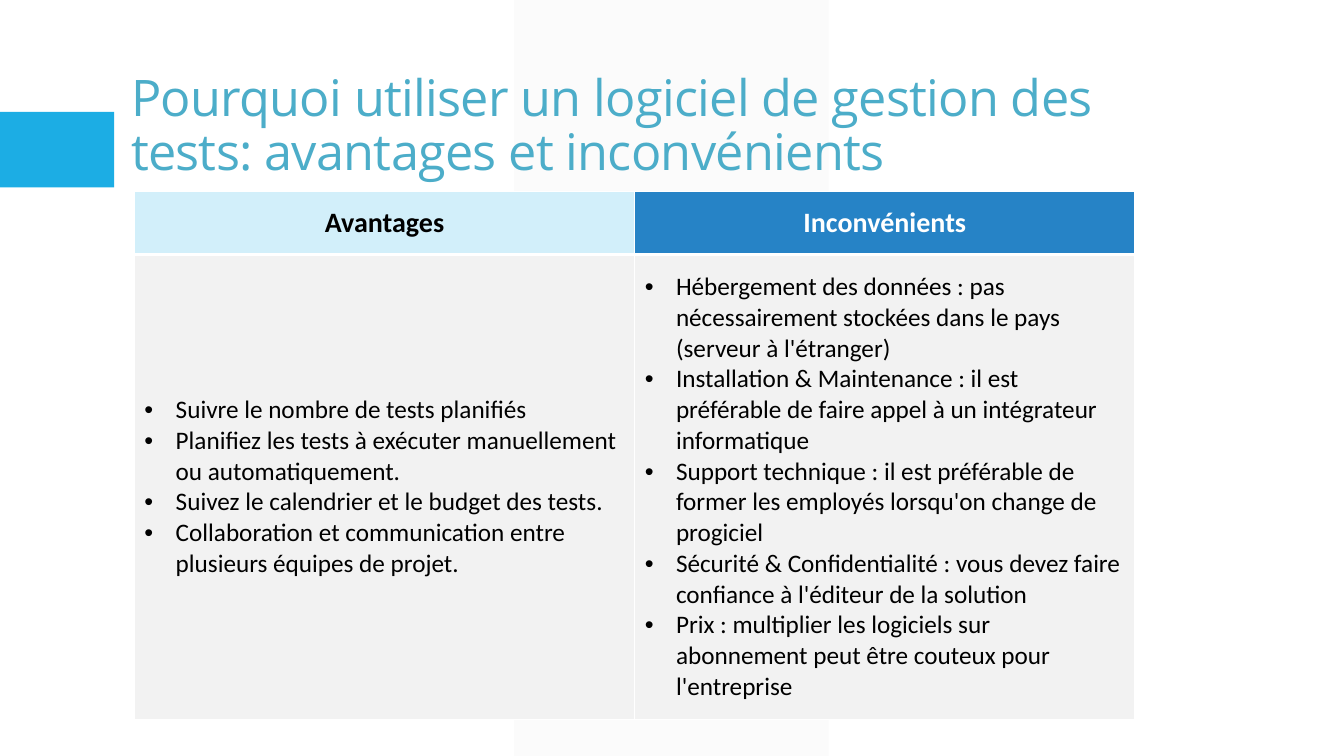
from dataclasses import dataclass

from lxml.etree import SubElement
from pptx import Presentation
from pptx.dml.color import RGBColor
from pptx.enum.shapes import MSO_SHAPE
from pptx.enum.text import MSO_ANCHOR, MSO_AUTO_SIZE, PP_ALIGN
from pptx.oxml.ns import qn
from pptx.util import Inches, Pt


@dataclass(frozen=True)
class Theme:
    title_font: str = "Open Sans"
    body_font: str = "Calibri"
    title_size: int = 36
    header_size: int = 20
    body_size: int = 18
    title_color: str = "4CADC9"
    accent: str = "1CADE4"
    pale: str = "F2F2F2"
    light_header: str = "D2EFFA"
    dark_header: str = "2683C6"
    white: str = "FFFFFF"
    black: str = "000000"


class SlideBuilder:
    """Places elements on one slide; lengths are percentages of its size."""

    def __init__(self, presentation, theme):
        self.presentation = presentation
        self.theme = theme
        self.slide = presentation.slides.add_slide(presentation.slide_layouts[5])

    def across(self, percent):
        return round(self.presentation.slide_width * percent / 100)

    def down(self, percent):
        return round(self.presentation.slide_height * percent / 100)

    def box(self, left, top, width, height):
        return self.across(left), self.down(top), self.across(width), self.down(height)

    def style_runs(self, paragraph, font_name, size, color, bold=False):
        for run in paragraph.runs:
            run.font.name = font_name
            run.font.size = Pt(size)
            run.font.bold = bold
            run.font.color.rgb = RGBColor.from_string(color)

    def block(self, preset, area, color, opacity=100):
        shape = self.slide.shapes.add_shape(preset, *self.box(*area))
        shape.shadow.inherit = False
        shape.line.fill.background()
        shape.fill.solid()
        shape.fill.fore_color.rgb = RGBColor.from_string(color)
        if opacity < 100:
            color_element = shape.element.spPr.find(".//" + qn("a:srgbClr"))
            SubElement(color_element, qn("a:alpha"), val=str(opacity * 1000))
        return shape

    def title(self, text, area):
        shape = self.slide.shapes.title
        shape.left, shape.top, shape.width, shape.height = self.box(*area)
        frame = shape.text_frame
        frame.text = text
        frame.word_wrap = True
        frame.auto_size = MSO_AUTO_SIZE.NONE
        frame.vertical_anchor = MSO_ANCHOR.BOTTOM
        paragraph = frame.paragraphs[0]
        paragraph.alignment = PP_ALIGN.LEFT
        paragraph.line_spacing = 0.9
        self.style_runs(paragraph, self.theme.title_font,
                        self.theme.title_size, self.theme.title_color)
        for run in paragraph.runs:
            run.font._element.set("spc", "-50")
        # Bring the title in front of the decoration
        shape.element.getparent().append(shape.element)

    def cell_style(self, cell, fill, top, bottom):
        properties = cell._tc.get_or_add_tcPr()
        for side, width in zip("LRTB", (1, 1, top, bottom)):
            line = SubElement(properties, qn(f"a:ln{side}"), w=str(Pt(width)))
            solid = SubElement(line, qn("a:solidFill"))
            SubElement(solid, qn("a:srgbClr"), val=self.theme.white)
        cell.fill.solid()
        cell.fill.fore_color.rgb = RGBColor.from_string(fill)
        cell.vertical_anchor = MSO_ANCHOR.MIDDLE

    def header_cell(self, cell, text, fill, color):
        self.cell_style(cell, fill, top=1, bottom=3)
        cell.margin_left = cell.margin_right = Inches(0.12)
        cell.margin_top = cell.margin_bottom = Inches(0.06)
        cell.text_frame.text = text
        paragraph = cell.text_frame.paragraphs[0]
        paragraph.alignment = PP_ALIGN.CENTER
        self.style_runs(paragraph, self.theme.body_font,
                        self.theme.header_size, color, bold=True)

    def list_cell(self, cell, items):
        self.cell_style(cell, self.theme.pale, top=3, bottom=1)
        cell.text_frame.text = "\n".join(items)
        for paragraph in cell.text_frame.paragraphs:
            self.style_runs(paragraph, self.theme.body_font,
                            self.theme.body_size, self.theme.black)
            properties = paragraph._p.get_or_add_pPr()
            properties.set("marL", str(Inches(0.31)))
            properties.set("indent", str(-Inches(0.31)))
            SubElement(properties, qn("a:buFont"), typeface="Arial")
            SubElement(properties, qn("a:buChar"), char="•")

    def comparison(self, columns, area, row_heights):
        frame = self.slide.shapes.add_table(2, len(columns), *self.box(*area))
        table = frame.table
        table.horz_banding = False
        for row, height in zip(table.rows, row_heights):
            row.height = self.down(height)
        for index, (heading, fill, color, items) in enumerate(columns):
            self.header_cell(table.cell(0, index), heading, fill, color)
            self.list_cell(table.cell(1, index), items)


def main():
    presentation = Presentation()
    presentation.slide_width = Inches(13.33)
    presentation.slide_height = Inches(7.5)
    theme = Theme()
    builder = SlideBuilder(presentation, theme)

    # Background decoration
    band = builder.block(MSO_SHAPE.PARALLELOGRAM, (38.25, 0, 23.4, 100),
                         theme.pale, opacity=30)
    band.adjustments[0] = 0
    builder.block(MSO_SHAPE.RECTANGLE, (0, 14.8, 8.5, 10), theme.accent)

    # Title
    builder.title("Pourquoi utiliser un logiciel de gestion des tests: "
                  "avantages et inconvénients", (9, 3.5, 82.5, 21.2))

    # Comparison table
    advantages = [
        "Suivre le nombre de tests planifiés",
        "Planifiez les tests à exécuter manuellement ou automatiquement.",
        "Suivez le calendrier et le budget des tests.",
        "Collaboration et communication entre plusieurs équipes de projet.",
    ]
    drawbacks = [
        "Hébergement des données : pas nécessairement stockées dans le pays "
        "(serveur à l'étranger)",
        "Installation & Maintenance : il est préférable de faire appel à un "
        "intégrateur informatique",
        "Support technique : il est préférable de former les employés "
        "lorsqu'on change de progiciel",
        "Sécurité & Confidentialité : vous devez faire confiance à l'éditeur "
        "de la solution",
        "Prix : multiplier les logiciels sur abonnement peut être couteux pour "
        "l'entreprise",
    ]
    builder.comparison(
        [("Avantages", theme.light_header, theme.black, advantages),
         ("Inconvénients", theme.dark_header, theme.white, drawbacks)],
        area=(10, 25.35, 74.45, 69.8), row_heights=(8.3, 61.5))

    presentation.save("out.pptx")


if __name__ == "__main__":
    main()
